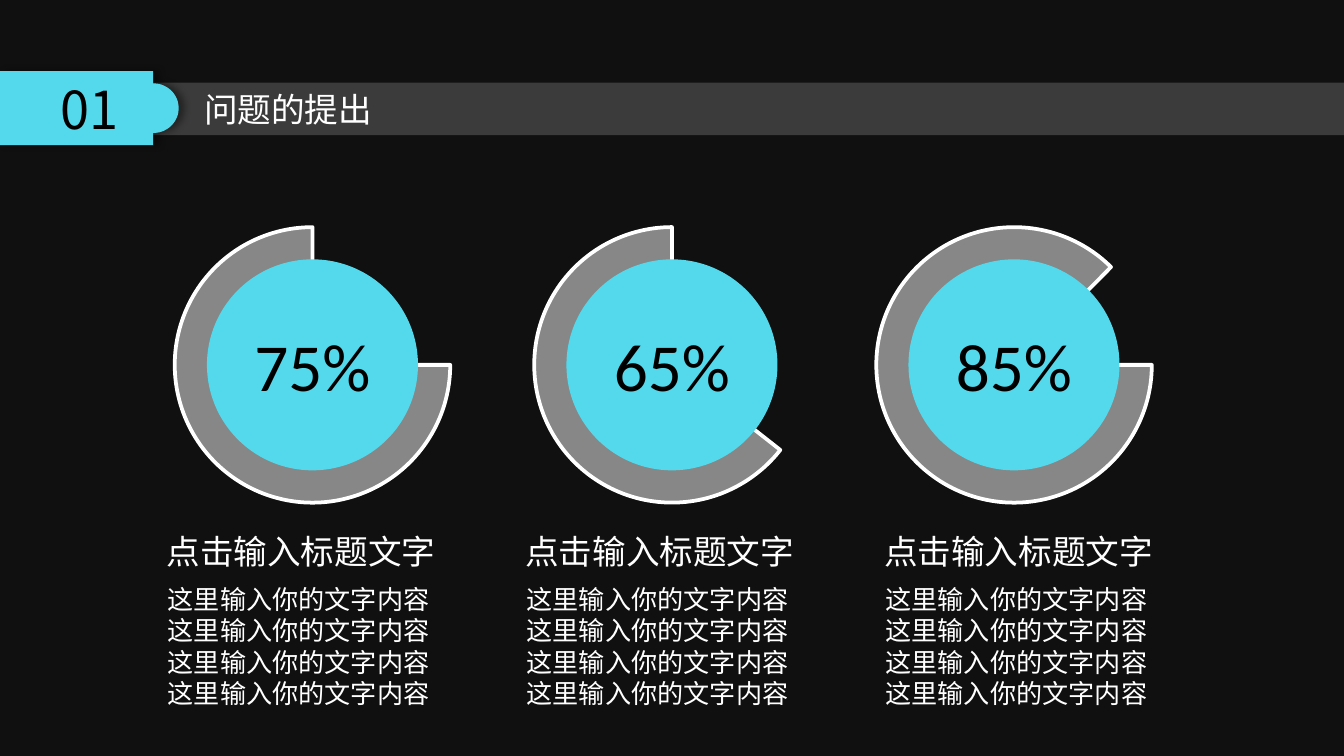
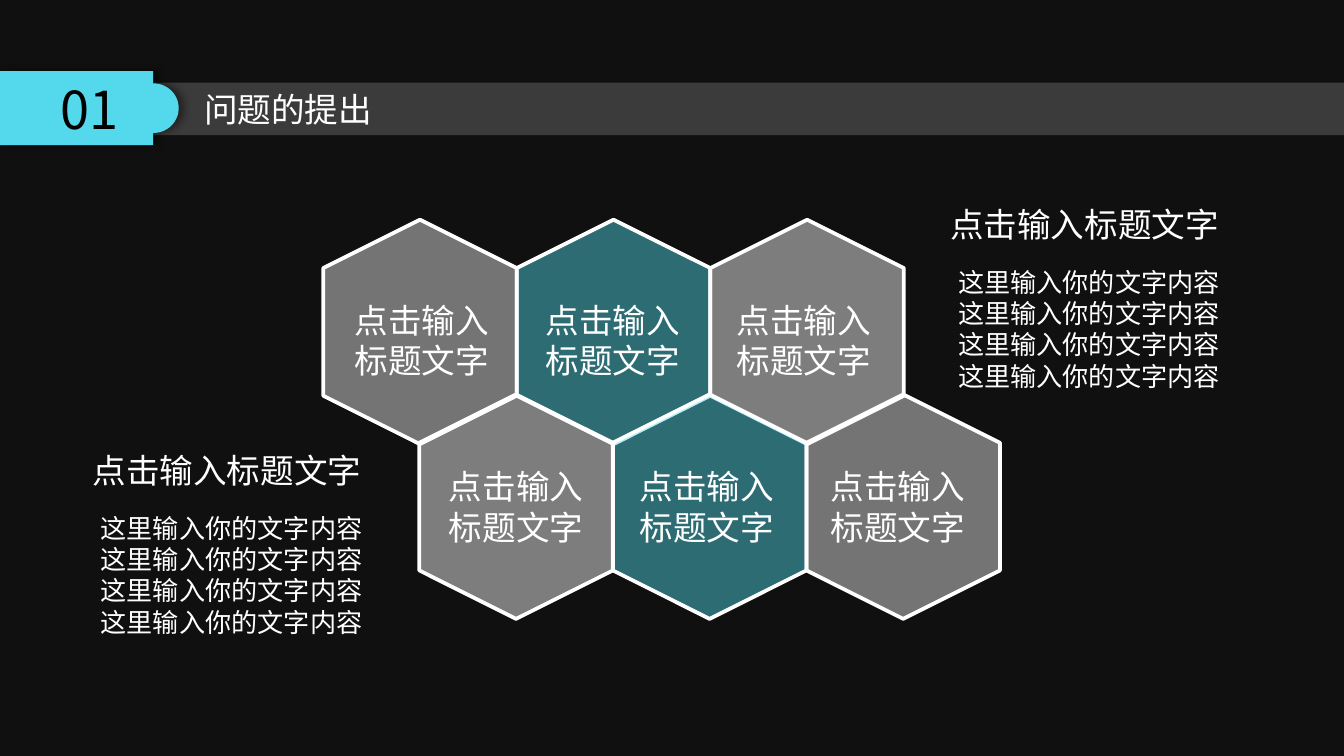
import collections
import math

import lxml.etree
import pptx
import pptx.dml.color
import pptx.enum.shapes
import pptx.enum.text
import pptx.oxml.ns
import pptx.util

COLOURS = {"night": "101010", "cyan": "53D9EB", "white": "FFFFFF", "black": "000000"}
CHINESE = "Noto Sans CJK SC"
DIGITS = "Noto Sans CJK JP"
LATIN = "Calibri"

SLIDE_WIDTH = pptx.util.Inches(10)
SLIDE_HEIGHT = pptx.util.Emu(SLIDE_WIDTH * 9 // 16)
CELL = SLIDE_WIDTH / 100

SHAPE = pptx.enum.shapes.MSO_SHAPE
ALIGN = pptx.enum.text.PP_ALIGN
ANCHOR = pptx.enum.text.MSO_ANCHOR
AUTO_SIZE = pptx.enum.text.MSO_AUTO_SIZE

HEADING = "点击输入标题文字"
BODY = ["这里输入你的文字内容"] * 4
LABEL = ["点击输入", "标题文字"]

Box = collections.namedtuple("Box", "left top width height")


def cells(count):
    return pptx.util.Emu(round(count * CELL))


def place(box):
    return [cells(length) for length in box]


def within(box, column, row, width, height):
    return Box(box.left + column, box.top + row, width, height)


def colour(name):
    return pptx.dml.color.RGBColor.from_string(COLOURS[name])


def add_element(parent, tag, **attributes):
    element = lxml.etree.SubElement(parent, pptx.oxml.ns.qn(tag))
    for name, value in attributes.items():
        element.set(name, str(value))
    return element


def paint(shape, fill, opacity=None, outline=None):
    shape.shadow.inherit = False
    shape.fill.solid()
    shape.fill.fore_color.rgb = colour(fill)
    if opacity is not None:
        tint = shape.element.spPr.find(".//" + pptx.oxml.ns.qn("a:srgbClr"))
        add_element(tint, "a:alpha", val=opacity * 1000)
    if outline:
        shape.line.color.rgb = colour(outline)
        shape.line.width = pptx.util.Pt(2)
    else:
        shape.line.fill.background()


def add_preset(shapes, kind, box, **look):
    shape = shapes.add_shape(kind, *place(box))
    paint(shape, **look)
    return shape


def write(frame, text, size=18, font=CHINESE, ink="white", align=None, spacing=None):
    lines = [text] if isinstance(text, str) else text
    for index, line in enumerate(lines):
        para = frame.add_paragraph() if index else frame.paragraphs[0]
        para.alignment = align
        if spacing:
            para.line_spacing = pptx.util.Pt(size * spacing)
        span = para.add_run()
        span.text = line
        span.font.size = pptx.util.Pt(size)
        span.font.color.rgb = colour(ink)
        span.font.name = font
        add_element(span.font._element, "a:ea", typeface=font)


def add_text(shapes, box, text, wrap=False, **style):
    frame = shapes.add_textbox(*place(box)).text_frame
    frame.word_wrap = wrap
    frame.auto_size = AUTO_SIZE.SHAPE_TO_FIT_TEXT
    write(frame, text, spacing=1.2, **style)


def add_number_tab(page, box, number):
    body, shoulder, middle = 11.4, 0.9, box.height / 2
    bulge, rise = box.width - body, middle - shoulder
    arc = [
        (body + bulge * math.cos(angle), middle + rise * math.sin(angle))
        for angle in (math.radians(degree) for degree in range(-90, 91, 5))
    ]
    outline = [(body, 0), *arc, (body, box.height), (0, box.height)]
    builder = page.shapes.build_freeform(0, 0, scale=CELL / 100)
    builder.add_line_segments([(column * 100, row * 100) for column, row in outline])
    tab = builder.convert_to_shape(cells(box.left), cells(box.top))
    paint(tab, "cyan")
    effects = tab.element.spPr.find(pptx.oxml.ns.qn("a:effectLst"))
    shadow = add_element(
        effects, "a:outerShdw", blurRad=pptx.util.Pt(4), dist=pptx.util.Pt(3),
        dir=0, algn="l", rotWithShape=0,
    )
    shade = add_element(shadow, "a:srgbClr", val=COLOURS["black"])
    add_element(shade, "a:alpha", val=40000)
    tab.text_frame.vertical_anchor = ANCHOR.MIDDLE
    write(tab.text_frame, number, size=28, font=DIGITS, ink="black", align=ALIGN.CENTER)


def add_title_band(page, box, number, title):
    add_preset(page.shapes, SHAPE.RECTANGLE, box, fill="white", opacity=18)
    add_number_tab(page, within(box, 0, -0.85, 13.3, 5.5), number)
    add_text(page.shapes, within(box, 14.2, -0.05, 14.6, 4), title)


def add_dial(page, box, label, start, end):
    group = page.shapes.add_group_shape()
    ring = add_preset(group.shapes, SHAPE.PIE, box, fill="white", opacity=50, outline="white")
    ring.adjustments[0] = start * 0.6
    ring.adjustments[1] = end * 0.6
    core = 15.7
    inset = (box.width - core) / 2
    disc = add_preset(group.shapes, SHAPE.OVAL, within(box, inset, inset, core, core), fill="cyan")
    disc.text_frame.vertical_anchor = ANCHOR.MIDDLE
    write(disc.text_frame, label, size=36, font=LATIN, ink="black", align=ALIGN.CENTER)


def add_caption(shapes, box, indent, drop, wrap):
    add_text(shapes, within(box, 0, 0, 22.2, 4), HEADING)
    body = within(box, indent, drop, box.width - indent, 10.4)
    add_text(shapes, body, BODY, wrap=wrap, size=14)


def add_hexagon_row(page, box, looks, label_column, label_row):
    pitch = 14.4
    long_side, short_side = 16.7, pitch
    for index, (fill, opacity) in enumerate(looks):
        cell = within(box, index * pitch, 0, long_side, short_side)
        hexagon = add_preset(
            page.shapes, SHAPE.HEXAGON, cell, fill=fill, opacity=opacity, outline="white"
        )
        hexagon.rotation = 90
    for index in range(len(looks)):
        label = within(box, label_column + index * 14.2, label_row, 13.4, 7.1)
        add_text(page.shapes, label, LABEL, wrap=True, align=ALIGN.CENTER)


def add_page(deck):
    page = deck.slides.add_slide(deck.slide_layouts[6])
    add_title_band(page, Box(0, 6.15, 100, 3.9), "01", "问题的提出")
    return page


def build_dial_page(deck):
    page = add_page(deck)
    dials = [
        (13, "75%", 0, 270),
        (39.75, "65%", 38.15, 270),
        (65.2, "85%", 0, 314.74),
    ]
    for left, label, start, end in dials:
        add_dial(page, Box(left, 16.9, 20.5, 20.5), label, start, end)
    for index in range(len(dials)):
        group = page.shapes.add_group_shape()
        box = Box(11.4 + index * 26.7, 39, 21.8, 14.3)
        add_caption(group.shapes, box, indent=0.1, drop=3.9, wrap=False)


def build_hexagon_page(deck):
    page = add_page(deck)
    dim, teal, light = ("white", 42), ("cyan", 46), ("white", 46)
    add_hexagon_row(page, Box(22.9, 17.5, 45.5, 14.4), [dim, teal, light], 1.8, 4.3)
    add_hexagon_row(page, Box(30.05, 30.5, 45.5, 14.4), [light, teal, dim], 1.65, 3.7)
    for left, top in [(5.9, 33), (69.7, 14.7)]:
        box = Box(left, top, 24.4, 15)
        add_caption(page.shapes, box, indent=0.6, drop=4.6, wrap=True)


def main():
    deck = pptx.Presentation()
    deck.slide_width = SLIDE_WIDTH
    deck.slide_height = SLIDE_HEIGHT
    backdrop = deck.slide_master.background.fill
    backdrop.solid()
    backdrop.fore_color.rgb = colour("night")
    build_dial_page(deck)
    build_hexagon_page(deck)
    deck.save("out.pptx")


if __name__ == "__main__":
    main()
